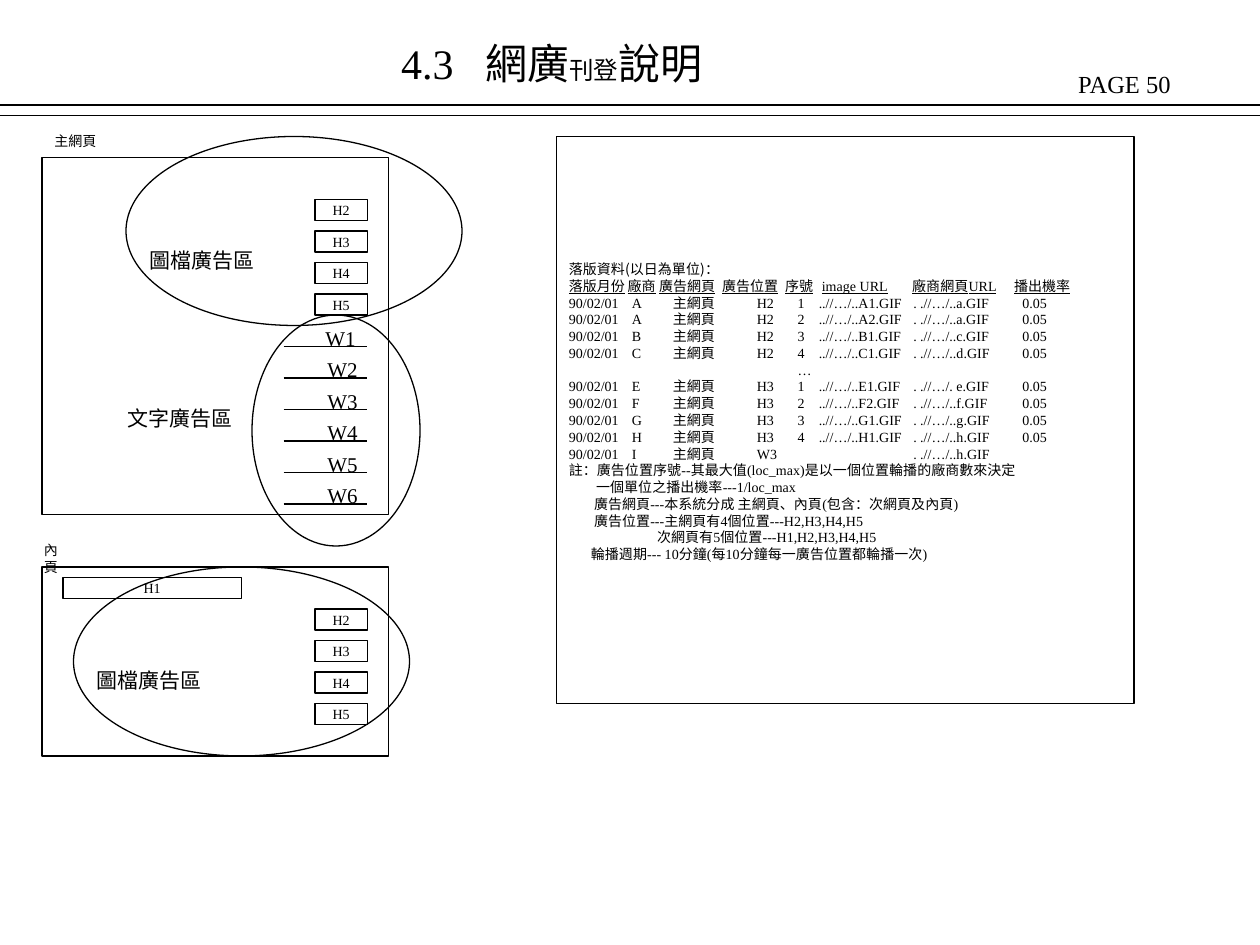
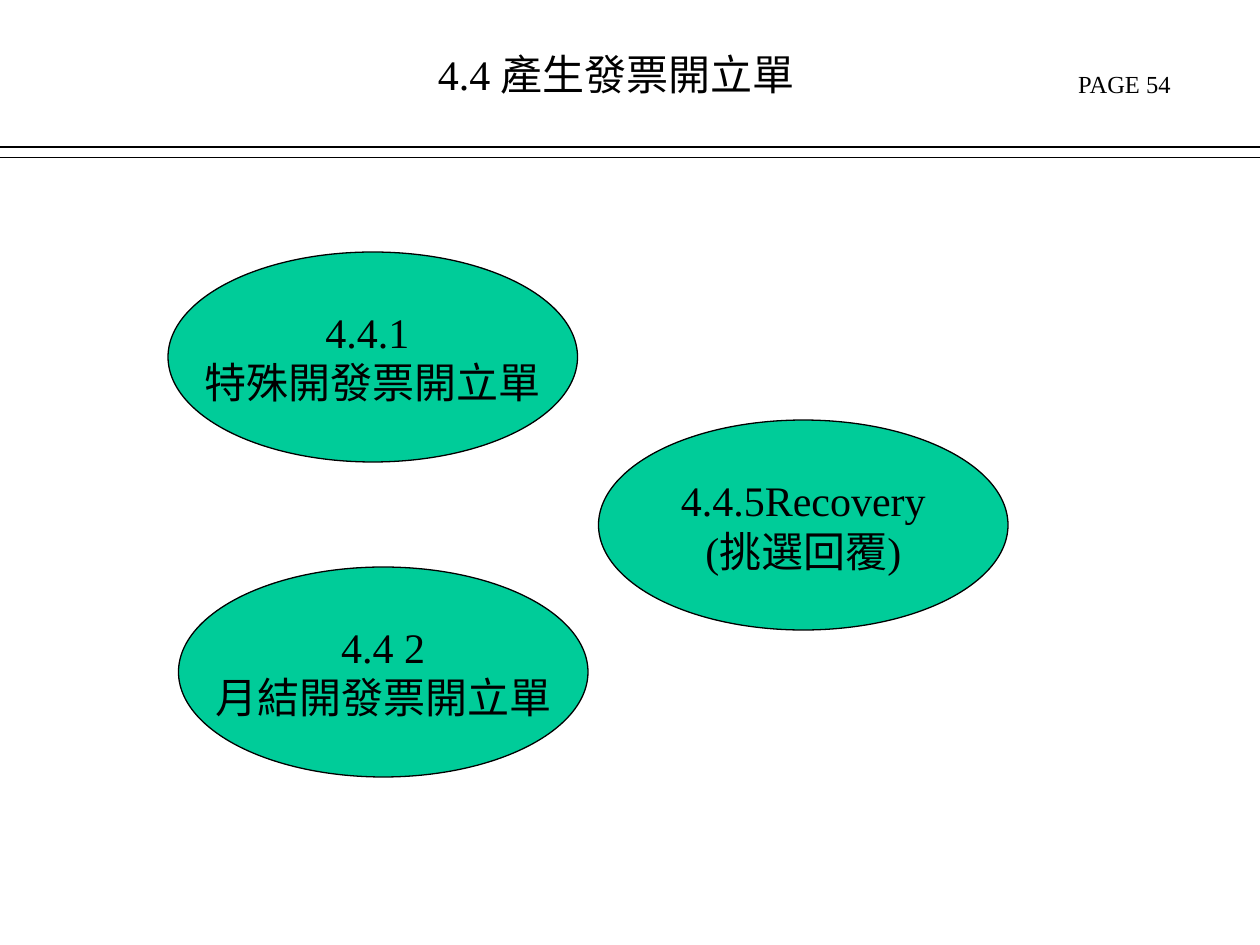
from dataclasses import dataclass

from lxml import etree
from pptx import Presentation
from pptx.dml.color import RGBColor
from pptx.enum.shapes import MSO_CONNECTOR, MSO_SHAPE
from pptx.enum.text import MSO_ANCHOR, MSO_AUTO_SIZE, PP_ALIGN
from pptx.oxml.ns import qn
from pptx.util import Emu, Pt

RECTANGLE, ELLIPSE = MSO_SHAPE.RECTANGLE, MSO_SHAPE.OVAL
STRAIGHT = MSO_CONNECTOR.STRAIGHT
LEFT, CENTER = PP_ALIGN.LEFT, PP_ALIGN.CENTER
TOP, MIDDLE = MSO_ANCHOR.TOP, MSO_ANCHOR.MIDDLE
FIXED, GROW = MSO_AUTO_SIZE.NONE, MSO_AUTO_SIZE.SHAPE_TO_FIT_TEXT

PX = 7620  # EMU per px, 120 px to the inch
PAGE_WIDTH, PAGE_HEIGHT = 1200, 900
TITLE_ONLY = 5


@dataclass(frozen=True)
class Theme:
    ink: RGBColor = RGBColor(0x00, 0x00, 0x00)
    accent: RGBColor = RGBColor(0x00, 0xCC, 0x99)
    latin: str = "Times New Roman"
    chinese: str = "Noto Sans CJK TC"
    title: int = 24
    page_label: int = 14
    label: int = 12
    small: int = 8
    line: float = 0.75
    inset_x: int = 12
    inset_y: int = 6


def px(*lengths):
    return [Emu(length * PX) for length in lengths]


class Deck:
    def __init__(self, theme):
        self.theme = theme
        self.show = Presentation()
        self.show.slide_width, self.show.slide_height = px(PAGE_WIDTH, PAGE_HEIGHT)
        self.page = None

    def new_page(self, title_spans, title_box, page_number, rule_y, title_tabs=()):
        """Add a page with its title, page label and double rule."""
        self.page = self.show.slides.add_slide(self.show.slide_layouts[TITLE_ONLY])
        title = self.page.shapes.title
        title.left, title.top, title.width, title.height = px(*title_box)
        self.frame(title, TOP, True)
        self.para(title.text_frame.paragraphs[0], title_spans, tabs=title_tabs)
        self.text(f"PAGE {page_number}", (1015, 60, 188, 41),
                  self.theme.page_label, wrap=True)
        for y in (rule_y, rule_y + 10):
            self.rule(0, PAGE_WIDTH, y)

    def frame(self, box, anchor, wrap, auto_size=FIXED):
        frame = box.text_frame
        frame.auto_size = auto_size
        frame.word_wrap = wrap
        frame.vertical_anchor = anchor
        frame.margin_left = frame.margin_right = Emu(self.theme.inset_x * PX)
        frame.margin_top = frame.margin_bottom = Emu(self.theme.inset_y * PX)
        return frame

    def para(self, para, spans, align=LEFT, tabs=(), indent=0, underline=False,
             latin=None):
        """Fill a paragraph with (text, size) spans."""
        para.alignment = align
        properties = para._p.get_or_add_pPr()
        if indent:
            properties.set("marL", str(indent * PX))
            properties.set("indent", "0")
        if tabs:
            stops = etree.SubElement(properties, qn("a:tabLst"))
            for stop in tabs:
                etree.SubElement(stops, qn("a:tab"), pos=str(stop * PX), algn="l")
        for text, size in spans:
            span = para.add_run()
            span.text = text
            span.font.size = Pt(size)
            span.font.color.rgb = self.theme.ink
            span.font.name = latin or self.theme.latin
            if underline:
                span.font.underline = True
            etree.SubElement(span._r.get_or_add_rPr(), qn("a:ea"),
                             typeface=self.theme.chinese)

    def text(self, text, bounds, size, wrap=False):
        box = self.page.shapes.add_textbox(*px(*bounds))
        frame = self.frame(box, TOP, wrap, GROW)
        self.para(frame.paragraphs[0], [(text, size)])

    def shape(self, kind, bounds, lines=(), size=None, fill=None):
        """Add an outlined shape with centred lines of text."""
        shape = self.page.shapes.add_shape(kind, *px(*bounds))
        shape.shadow.inherit = False
        if fill is None:
            shape.fill.background()
        else:
            shape.fill.solid()
            shape.fill.fore_color.rgb = fill
        shape.line.color.rgb = self.theme.ink
        shape.line.width = Pt(self.theme.line)
        frame = self.frame(shape, MIDDLE, False)
        for index, line in enumerate(lines):
            para = frame.add_paragraph() if index else frame.paragraphs[0]
            self.para(para, [(line, size)], CENTER)
        return shape

    def listing(self, bounds, rows, bottom_inset):
        """Add a framed block of (text, paragraph options) rows."""
        frame = self.shape(RECTANGLE, bounds).text_frame
        frame.word_wrap = True
        frame.margin_bottom = Emu(bottom_inset * PX)
        for index, (text, options) in enumerate(rows):
            para = frame.add_paragraph() if index else frame.paragraphs[0]
            self.para(para, [(text, self.theme.small)], **options)

    def rule(self, start, end, y):
        line = self.page.shapes.add_connector(STRAIGHT, *px(start, y, end, y))
        line.line.color.rgb = self.theme.ink
        line.line.width = Pt(self.theme.line)
        etree.SubElement(line._element.spPr, qn("a:effectLst"))


# Schedule of banner placements
HEADER_TABS = (56, 86, 146, 206, 241, 327, 424)
ROW_TABS = (60, 99, 179, 218, 238, 328, 432)
HEADERS = ("落版月份", "廠商", "廣告網頁", "廣告位置", "序號",
           "image URL", "廠商網頁URL", "播出機率")
PLACEMENTS = [
    ("A", "H2", "1", "..//…/..A1.GIF", ". .//…/..a.GIF", "0.05"),
    ("A", "H2", "2", "..//…/..A2.GIF", ". .//…/..a.GIF", "0.05"),
    ("B", "H2", "3", "..//…/..B1.GIF", ". .//…/..c.GIF", "0.05"),
    ("C", "H2", "4", "..//…/..C1.GIF", ". .//…/..d.GIF", "0.05"),
    None,
    ("E", "H3", "1", "..//…/..E1.GIF", ". .//…/. e.GIF", "0.05"),
    ("F", "H3", "2", "..//…/..F2.GIF", ". .//…/..f.GIF", "0.05"),
    ("G", "H3", "3", "..//…/..G1.GIF", ". .//…/..g.GIF", "0.05"),
    ("H", "H3", "4", "..//…/..H1.GIF", ". .//…/..h.GIF", "0.05"),
    ("I", "W3", "", "", ". .//…/..h.GIF"),
]
NOTES = [
    (0, "註：廣告位置序號--其最大值(loc_max)是以一個位置輪播的廠商數來決定"),
    (26, "一個單位之播出機率---1/loc_max"),
    (24, "廣告網頁---本系統分成 主網頁、內頁(包含：次網頁及內頁)"),
    (24, "廣告位置---主網頁有4個位置---H2,H3,H4,H5"),
    (84, "次網頁有5個位置---H1,H2,H3,H4,H5"),
    (21, "輪播週期--- 10分鐘(每10分鐘每一廣告位置都輪播一次)"),
]


def schedule_rows(theme):
    rows = [("落版資料(以日為單位)：", {"latin": theme.chinese}),
            ("\t".join(HEADERS), {"tabs": HEADER_TABS, "underline": True})]
    for placement in PLACEMENTS:
        if placement is None:
            cells = ("", "", "", "", "…")
        else:
            vendor, *details = placement
            cells = ("90/02/01", vendor, "主網頁", *details)
        rows.append(("\t".join(cells), {"tabs": ROW_TABS}))
    return rows + [(note, {"indent": indent}) for indent, note in NOTES]


def banner_slots(deck, top):
    for index in range(4):
        deck.shape(RECTANGLE, (300, top + 30 * index, 50, 20),
                   [f"H{index + 2}"], deck.theme.small)


def build_banner_page(deck):
    theme = deck.theme
    deck.new_page([("4.3\t網廣", theme.title), ("刊登", theme.page_label),
                   ("說明", theme.title)], (370, 30, 500, 60), 50, 100, (80,))
    deck.listing((530, 130, 550, 540), schedule_rows(theme), 22)

    # Main page: banner slots above, text links below
    deck.text("主網頁", (40, 120, 64, 29), theme.small)
    deck.shape(RECTANGLE, (40, 150, 330, 340))
    banner_slots(deck, 190)
    for index in range(6):
        deck.rule(270, 350, 330 + 30 * index)
        deck.text(f"W{index + 1}", (300 if index else 298, 304 + 30 * index, 53, 36),
                  theme.label)

    # Inner page
    deck.text("內頁", (30, 510, 50, 29), theme.small)
    deck.shape(RECTANGLE, (40, 540, 330, 180))
    deck.shape(RECTANGLE, (60, 550, 170, 20), ["H1"], theme.small)
    banner_slots(deck, 580)

    # Advertising zones
    zones = [((120, 130, 320, 180), "圖檔廣告區", (131, 230)),
             ((240, 300, 160, 220), "文字廣告區", (110, 380)),
             ((70, 540, 320, 180), "圖檔廣告區", (80, 630))]
    for bounds, name, corner in zones:
        deck.shape(ELLIPSE, bounds)
        deck.text(name, (*corner, 124, 36), theme.label)


def build_invoice_page(deck):
    theme = deck.theme
    deck.new_page([("4.4 產生發票開立單", theme.title)], (405, 40, 380, 60), 54, 140)
    functions = [(160, 240, "4.4.1 ", "特殊開發票開立單"),
                 (170, 540, "4.4 2", "月結開發票開立單"),
                 (570, 400, "4.4.5Recovery", "(挑選回覆)")]
    for left, top, *lines in functions:
        deck.shape(ELLIPSE, (left, top, 390, 200), lines, theme.title, theme.accent)


def main():
    deck = Deck(Theme())
    build_banner_page(deck)
    build_invoice_page(deck)
    deck.show.save("out.pptx")


if __name__ == "__main__":
    main()
